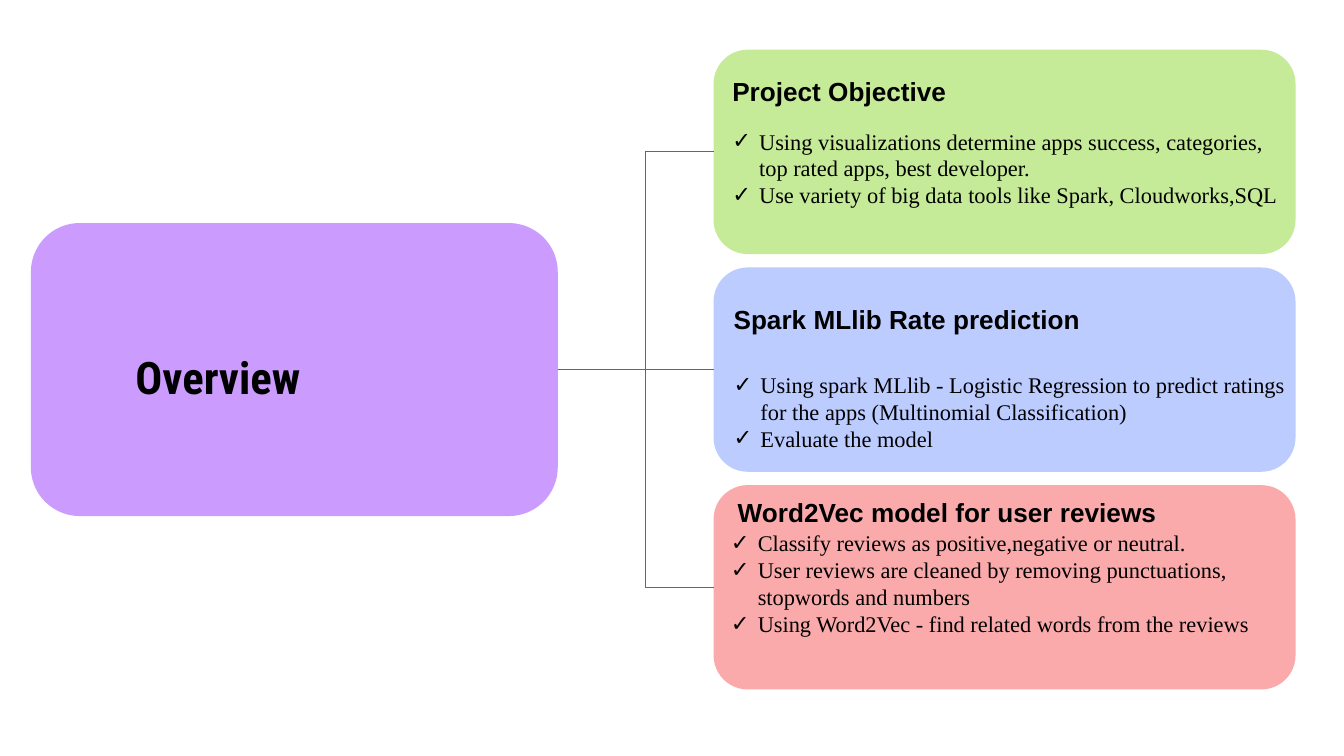
from lxml.etree import SubElement
from pptx import Presentation
from pptx.dml.color import RGBColor
from pptx.enum.shapes import MSO_CONNECTOR, MSO_SHAPE
from pptx.oxml.ns import qn
from pptx.util import Inches, Pt

COLORS = {
    "overview": "CB9CFE",
    "objective": "C5EA98",
    "prediction": "BCCCFF",
    "reviews": "FAAAAA",
    "branch": "666666",
    "text": "000000",
}
OVERVIEW = "Overview"
TOPICS = [
    {
        "color": "objective",
        "heading": "Project Objective",
        "heading_box": (0.04, 0.09, 3.49, 0.58),
        "points_box": (0.04, 0.48, 4.35, 0.81),
        "points": [
            "Using visualizations determine apps success, categories, top rated apps, best developer.",
            "Use variety of big data tools like Spark, Cloudworks,SQL",
        ],
    },
    {
        "color": "prediction",
        "heading": "Spark MLlib Rate prediction",
        "heading_box": (0.05, 0.17, 3.99, 0.47),
        "points_box": (0.05, 0.67, 4.38, 0.68),
        "points": [
            "Using spark MLlib - Logistic Regression to predict ratings for the apps (Multinomial Classification)",
            "Evaluate the model",
        ],
    },
    {
        "color": "reviews",
        "heading": "Word2Vec model for user reviews",
        "heading_box": (0.08, -0.02, 4.28, 0.58),
        "points_box": (0.03, 0.23, 4.3, 1.18),
        "points": [
            "Classify reviews as positive,negative or neutral.",
            "User reviews are cleaned by removing punctuations, stopwords and numbers",
            "Using Word2Vec - find related words from the reviews",
        ],
    },
]

SLIDE_W = 10
SLIDE_H = SLIDE_W * 9 / 16
TOPIC_X, TOPIC_Y, TOPIC_W, TOPIC_H = 5.31, 0.37, 4.33, 1.52
TOPIC_STEP = 1.62
OVERVIEW_X, OVERVIEW_W, OVERVIEW_H = 0.23, 3.92, 2.18
OVERVIEW_Y = TOPIC_Y + TOPIC_STEP + (TOPIC_H - OVERVIEW_H) / 2
INSET = 0.1
BULLET_INDENT = 0.2
BEND = 56500


def color(name):
    return RGBColor.from_string(COLORS[name])


def add_panel(slide, fill, x, y, w, h):
    panel = slide.shapes.add_shape(
        MSO_SHAPE.ROUNDED_RECTANGLE, Inches(x), Inches(y), Inches(w), Inches(h)
    )
    panel.shadow.inherit = False
    panel.fill.solid()
    panel.fill.fore_color.rgb = color(fill)
    panel.line.fill.background()
    return panel


def add_branch(slide, start, end):
    branch = slide.shapes.add_connector(MSO_CONNECTOR.ELBOW, 0, 0, 0, 0)
    branch.begin_connect(start, 3)
    branch.end_connect(end, 1)
    branch.line.color.rgb = color("branch")
    branch.line.width = Pt(0.75)
    properties = branch._element.spPr
    adjustments = properties.find(qn("a:prstGeom")).get_or_add_avLst()
    SubElement(adjustments, qn("a:gd"), name="adj1", fmla=f"val {BEND}")
    SubElement(properties, qn("a:effectLst"))


def add_bullet(paragraph):
    properties = paragraph._p.get_or_add_pPr()
    properties.set("marL", str(Inches(BULLET_INDENT)))
    properties.set("indent", str(-Inches(BULLET_INDENT)))
    bullet_color = SubElement(properties, qn("a:buClr"))
    SubElement(bullet_color, qn("a:srgbClr"), val=COLORS["text"])
    SubElement(properties, qn("a:buFont"), typeface="Arial")
    SubElement(properties, qn("a:buChar"), char="✓")


def add_text(slide, lines, x, y, w, h, font, size, bold=False, bulleted=False):
    frame = slide.shapes.add_textbox(
        Inches(x), Inches(y), Inches(w), Inches(h)
    ).text_frame
    frame.word_wrap = True
    frame.margin_left = frame.margin_right = Inches(INSET)
    frame.margin_top = frame.margin_bottom = Inches(INSET)
    for index, line in enumerate(lines):
        paragraph = frame.add_paragraph() if index else frame.paragraphs[0]
        if bulleted:
            paragraph.line_spacing = Pt(14.4)
            add_bullet(paragraph)
        run = paragraph.add_run()
        run.text = line
        run.font.name = font
        run.font.size = Pt(size)
        run.font.bold = bold
        run.font.color.rgb = color("text")


def main():
    deck = Presentation()
    deck.slide_width, deck.slide_height = Inches(SLIDE_W), Inches(SLIDE_H)
    slide = deck.slides.add_slide(deck.slide_layouts[6])

    overview = add_panel(
        slide, "overview", OVERVIEW_X, OVERVIEW_Y, OVERVIEW_W, OVERVIEW_H
    )
    add_text(slide, [OVERVIEW], 0.91, 2.5, 3.46, 0.49, "Roboto Condensed", 24, bold=True)

    for row, topic in enumerate(TOPICS):
        top = TOPIC_Y + row * TOPIC_STEP
        panel = add_panel(slide, topic["color"], TOPIC_X, top, TOPIC_W, TOPIC_H)
        add_branch(slide, overview, panel)
        dx, dy, w, h = topic["points_box"]
        add_text(slide, topic["points"], TOPIC_X + dx, top + dy, w, h,
                 "Times New Roman", 12, bulleted=True)
        dx, dy, w, h = topic["heading_box"]
        add_text(slide, [topic["heading"]], TOPIC_X + dx, top + dy, w, h,
                 "Arial", 14, bold=True)

    deck.save("out.pptx")


if __name__ == "__main__":
    main()
